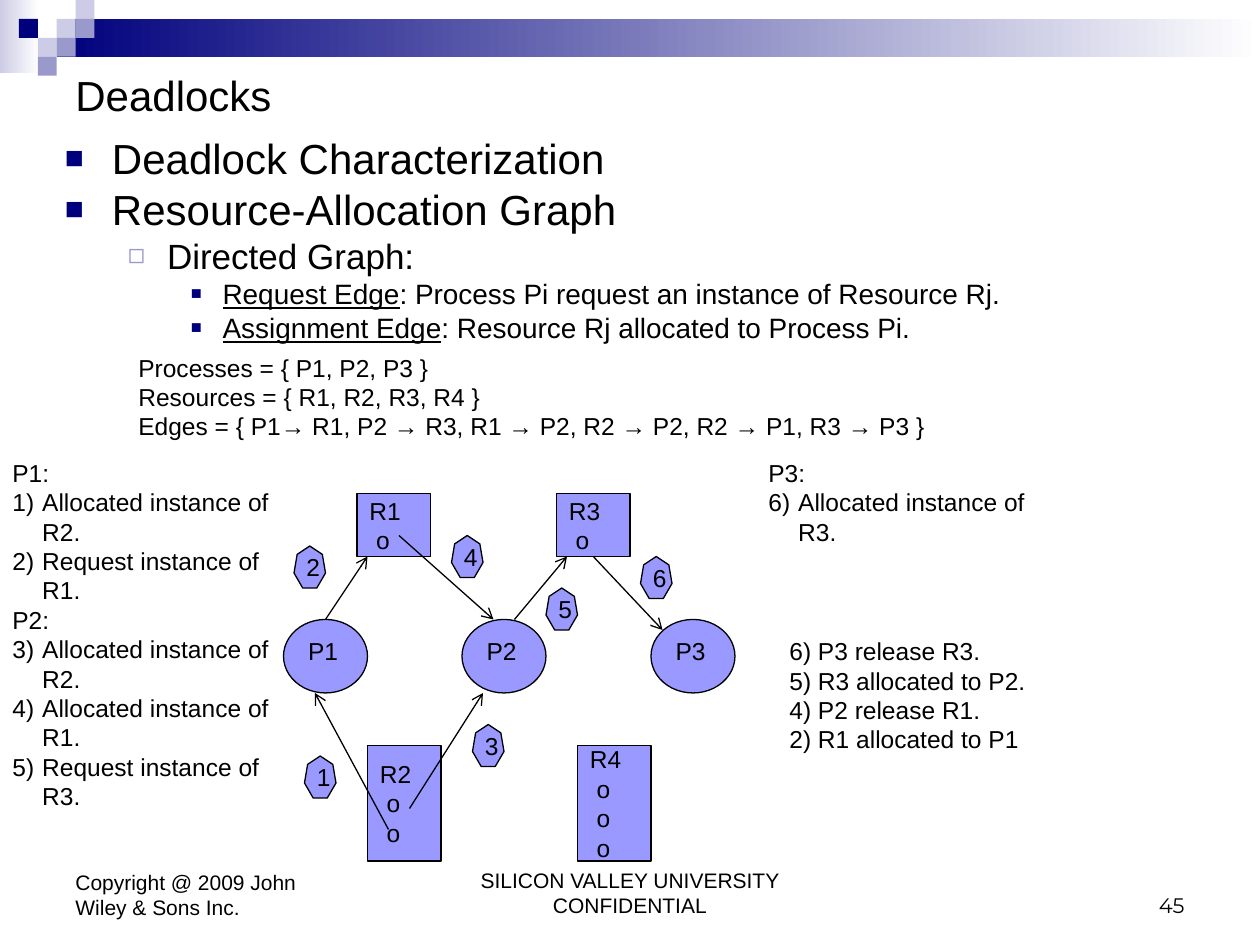
import pptx
import pptx.dml.color
import pptx.enum.dml
import pptx.enum.shapes
import pptx.enum.text
import pptx.oxml.ns
import pptx.util
from lxml import etree

RGBColor = pptx.dml.color.RGBColor
SHAPE = pptx.enum.shapes.MSO_SHAPE
ALIGN = pptx.enum.text.PP_ALIGN
ANCHOR = pptx.enum.text.MSO_ANCHOR

BLACK = RGBColor(0x00, 0x00, 0x00)
WHITE = RGBColor(0xFF, 0xFF, 0xFF)
NAVY = RGBColor(0x00, 0x00, 0x7D)
LAVENDER = RGBColor(0xCC, 0xCC, 0xE6)
VIOLET = RGBColor(0x99, 0x99, 0xCC)
PERIWINKLE = RGBColor(0x99, 0x99, 0xFF)

HEPTAGON = [(0, 2.57), (0.3, 0.8), (1.5, 0), (2.7, 0.8), (3, 2.57), (2.17, 4), (0.83, 4)]
LEVELS = [
    dict(size=24, space=6, margin=0.95, hang=0.95, mark="■", mark_color=NAVY, mark_size=75),
    dict(size=20, space=5, margin=2.06, hang=0.79, mark="◻", mark_color=VIOLET, mark_size=80),
    dict(size=16, space=4, margin=3.18, hang=0.64, mark="■", mark_color=NAVY, mark_size=65),
]


def grid(steps):
    """Return the length of a number of grid steps, twelve to the inch."""
    return pptx.util.Cm(steps * 2.54 / 12)


def add_xml(parent, tag, **attributes):
    """Append a DrawingML element with the given attributes."""
    values = {name: str(value) for name, value in attributes.items()}
    return etree.SubElement(parent, pptx.oxml.ns.qn("a:" + tag), values)


def write(frame, text, size=14, font="Arial", align=ALIGN.LEFT, underlined="", space=0,
          spacing=None, margin=0, hang=0, mark=None, mark_color=BLACK, mark_size=100, number=None):
    """Write one paragraph, opened by its underlined words, into a text frame."""
    first = not frame.paragraphs[0].runs
    paragraph = frame.paragraphs[0] if first else frame.add_paragraph()
    properties = paragraph._p.get_or_add_pPr()
    if mark or number:
        properties.set("marL", str(pptx.util.Cm(margin)))
        properties.set("indent", str(-pptx.util.Cm(hang)))
        add_xml(add_xml(properties, "buClr"), "srgbClr", val=mark_color)
        add_xml(properties, "buSzPct", val=mark_size * 1000)
        add_xml(properties, "buFont", typeface="Arial")
    if mark:
        add_xml(properties, "buChar", char=mark)
    elif number:
        add_xml(properties, "buAutoNum", type="arabicParenR", startAt=number)
    paragraph.alignment = align
    if spacing:
        paragraph.line_spacing = spacing
    if space and not first:
        paragraph.space_before = pptx.util.Pt(space)
    for words, underline in ((underlined, True), (text, False)):
        if words:
            run = paragraph.add_run()
            run.text = words
            run.font.size = pptx.util.Pt(size)
            run.font.name = font
            run.font.color.rgb = BLACK
            run.font.underline = underline


class DeadlockSlide:
    """Hold the graph style and the slide, and draw each kind of element in grid steps."""

    def __init__(self, slide, fill=PERIWINKLE, line=BLACK, weight=0.75):
        self.shapes = slide.shapes
        self.fill = fill
        self.line = line
        self.weight = pptx.util.Pt(weight)

    def text(self, left, top, width, height, anchor=ANCHOR.TOP):
        frame = self.shapes.add_textbox(*map(grid, (left, top, width, height))).text_frame
        frame.word_wrap = True
        frame.vertical_anchor = anchor
        return frame

    def paint(self, shape):
        shape.shadow.inherit = False
        shape.fill.solid()
        shape.fill.fore_color.rgb = self.fill
        shape.line.color.rgb = self.line
        shape.line.width = self.weight

    def tile(self, left, top, width, height, color, fade=False):
        tile = self.shapes.add_shape(SHAPE.RECTANGLE, *map(grid, (left, top, width, height)))
        tile.shadow.inherit = False
        tile.line.fill.background()
        if fade:
            tile.fill.gradient()
            tile.fill.gradient_angle = 0
            for stop, shade in zip(tile.fill.gradient_stops, (color, WHITE)):
                stop.color.rgb = shade
        else:
            tile.fill.solid()
            tile.fill.fore_color.rgb = color

    def node(self, kind, left, top, width, height, lines, anchor, wrap):
        node = self.shapes.add_shape(kind, *map(grid, (left, top, width, height)))
        self.paint(node)
        node.text_frame.word_wrap = wrap
        node.text_frame.vertical_anchor = anchor
        for line in lines:
            write(node.text_frame, line)

    def resource(self, name, left, top, height, instances):
        lines = [name] + [" o"] * instances
        self.node(SHAPE.RECTANGLE, left, top, 7, height, lines, ANCHOR.MIDDLE, False)

    def process(self, name, left):
        self.node(SHAPE.OVAL, left, 59, 8, 7, [name], ANCHOR.TOP, True)

    def edge(self, *ends):
        edge = self.shapes.add_connector(pptx.enum.shapes.MSO_CONNECTOR.STRAIGHT, *map(grid, ends))
        edge.line.color.rgb = self.line
        edge.line.width = self.weight
        properties = edge._element.spPr
        add_xml(properties.get_or_add_ln(), "tailEnd", type="arrow")
        add_xml(properties, "effectLst")

    def step(self, number, left, top):
        corners = [(grid(left + x), grid(top + y)) for x, y in HEPTAGON]
        outline = self.shapes.build_freeform(*corners[0])
        outline.add_line_segments(corners[1:], close=True)
        step = outline.convert_to_shape()
        self.paint(step)
        step.text_frame.word_wrap = True
        step.text_frame.vertical_anchor = ANCHOR.MIDDLE
        write(step.text_frame, str(number))


def draw_header(page):
    """Draw the fading bar and the mosaic of small squares."""
    page.tile(0, 0, 3.7, 7, LAVENDER, fade=True)
    page.tile(5.4, 1.8, 114.6, 3.6, NAVY, fade=True)
    for column, row, color in ((3, 1, LAVENDER), (4, 0, LAVENDER), (4, 1, VIOLET), (2, 2, LAVENDER),
                               (1, 1, NAVY), (3, 2, VIOLET), (2, 3, VIOLET)):
        page.tile(column * 1.8, row * 1.8, 1.8, 1.8, color)


def draw_texts(page):
    """Write the title, outline, sets, step lists and footer."""
    write(page.text(6, 6, 108, 6, ANCHOR.MIDDLE), "Deadlocks", size=24)
    outline = page.text(5, 13, 108, 69)
    for level, underlined, text in (
        (0, "", "Deadlock Characterization"),
        (0, "", "Resource-Allocation Graph"),
        (1, "", "Directed Graph:"),
        (2, "Request Edge", ": Process Pi request an instance of Resource Rj."),
        (2, "Assignment Edge", ": Resource Rj allocated to Process Pi."),
    ):
        write(outline, text, underlined=underlined, spacing=0.8, **LEVELS[level])

    plain_lists = (
        ((12, 33, 79, 9.6), ("Processes = { P1, P2, P3 }", "Resources = { R1, R2, R3, R4 }",
                             "Edges = { P1→ R1, P2 → R3, R1 → P2, R2 → P2, R2 → P1, R3 → P3 }")),
        ((74, 60, 27, 12.5), ("6) P3 release R3.", "5) R3 allocated to P2.",
                              "4) P2 release R1.", "2) R1 allocated to P1")),
    )
    for place, lines in plain_lists:
        frame = page.text(*place)
        for line in lines:
            write(frame, line)

    left_steps, right_steps = page.text(0, 43, 27, 34.8), page.text(72, 43, 27, 9.6)
    for frame, process, start, steps in (
        (left_steps, "P1:", 1, ("Allocated instance of R2.", "Request instance of R1.")),
        (left_steps, "P2:", 3, ("Allocated instance of R2.", "Allocated instance of R1.",
                                "Request instance of R3.")),
        (right_steps, "P3:", 6, ("Allocated instance of R3.",)),
    ):
        write(frame, process)
        for step in steps:
            write(frame, step, number=start, margin=0.6, hang=0.6)

    write(page.text(6, 82, 28, 6.2, ANCHOR.BOTTOM), "Copyright @ 2009 John Wiley & Sons Inc.", size=12)
    write(page.text(41, 82, 38, 6, ANCHOR.BOTTOM), "SILICON VALLEY UNIVERSITY CONFIDENTIAL",
          size=12, align=ALIGN.CENTER)
    write(page.text(86, 82, 28, 6, ANCHOR.BOTTOM), "45", size=12, font="Montserrat", align=ALIGN.RIGHT)


def draw_graph(page):
    """Draw the resources, processes, edges and numbered steps."""
    for resource in (("R1", 34, 47, 6, 1), ("R3", 53, 47, 6, 1),
                     ("R2", 35, 71, 11, 2), ("R4", 55, 71, 11, 3)):
        page.resource(*resource)
    for name, left in (("P1", 27), ("P2", 44), ("P3", 62)):
        page.process(name, left)
    for ends in ((31, 59, 35, 53), (38, 51, 47, 59), (49, 59, 54, 53),
                 (37, 79, 30, 66), (39, 77, 46, 66), (56.5, 53, 63.1, 60)):
        page.edge(*ends)
    places = ((29, 72), (28, 52), (45, 69), (43, 51), (52, 56), (61, 53))
    for number, place in enumerate(places, start=1):
        page.step(number, *place)


def main():
    """Build the slide and save it."""
    deck = pptx.Presentation()
    deck.slide_width, deck.slide_height = pptx.util.Cm(25.4), pptx.util.Cm(19.05)
    page = DeadlockSlide(deck.slides.add_slide(deck.slide_layouts[6]))
    draw_header(page)
    draw_texts(page)
    draw_graph(page)
    deck.save("out.pptx")


if __name__ == "__main__":
    main()
